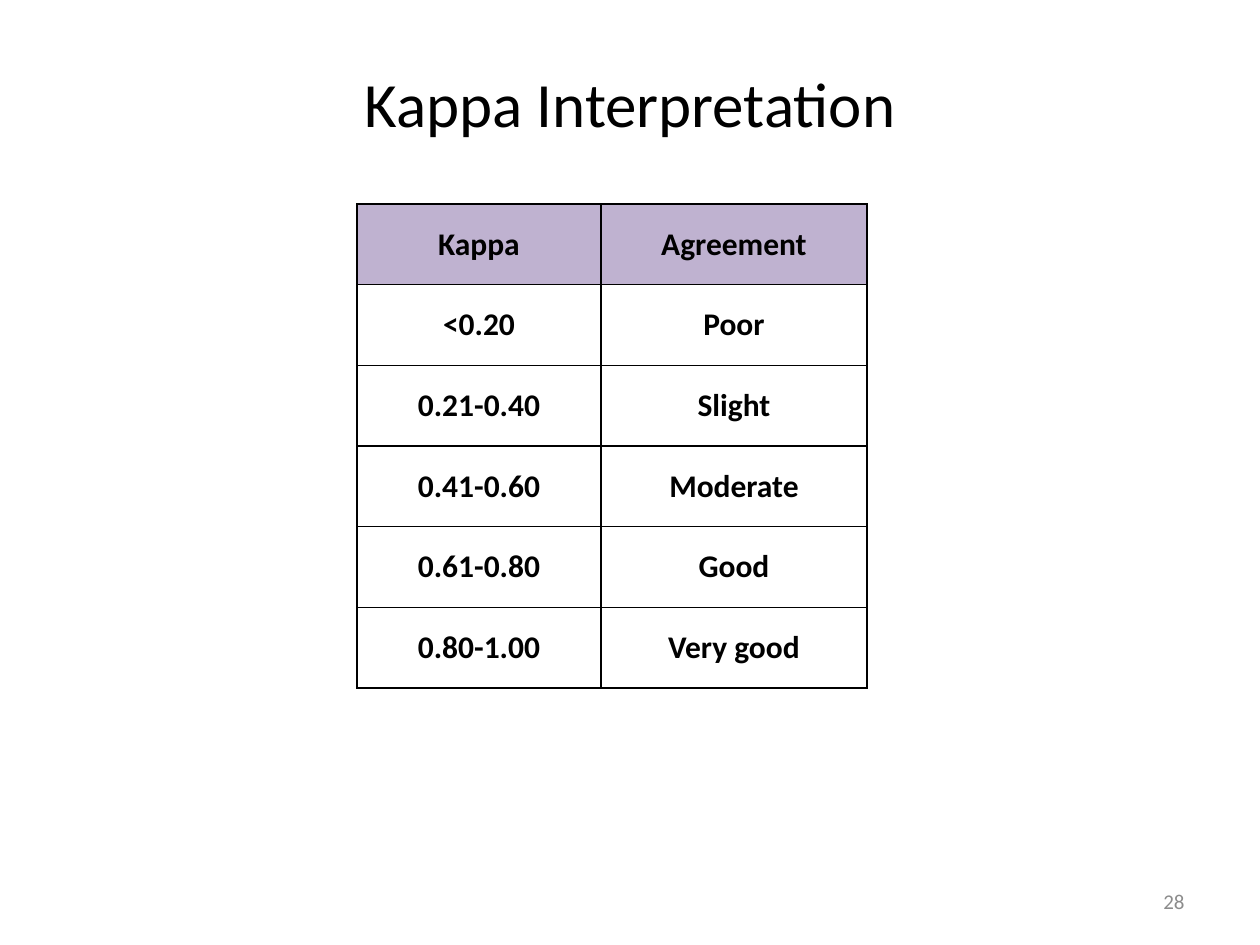
from lxml.etree import SubElement
from pptx import Presentation
from pptx.dml.color import RGBColor
from pptx.enum.text import MSO_ANCHOR as Anchor, PP_ALIGN as Align
from pptx.oxml.ns import qn
from pptx.util import Emu, Pt

EMU_PER_PX = 914400 / 126
FONT = "Calibri"
BLACK = RGBColor(0x00, 0x00, 0x00)
GRAY = RGBColor(0x8C, 0x8C, 0x8C)
LAVENDER = RGBColor(0xBF, 0xB2, 0xD0)

AGREEMENT_LEVELS = [
    ("Kappa", "Agreement"),
    ("<0.20", "Poor"),
    ("0.21-0.40", "Slight"),
    ("0.41-0.60", "Moderate"),
    ("0.61-0.80", "Good"),
    ("0.80-1.00", "Very good"),
]


def px(length):
    return Emu(round(length * EMU_PER_PX))


def write(frame, text, size, color=BLACK, align=Align.CENTER, bold=False):
    frame.word_wrap = True
    paragraph = frame.paragraphs[0]
    paragraph.text = text
    paragraph.alignment = align
    font = paragraph.font
    font.name, font.size, font.bold = FONT, Pt(size), bold
    font.color.rgb = color


def add_title(slide, left, top, width, height):
    title = slide.shapes.title
    title.left, title.top = px(left), px(top)
    title.width, title.height = px(width), px(height)
    title.text_frame.vertical_anchor = Anchor.MIDDLE
    write(title.text_frame, "Kappa Interpretation", 36)


def add_borders(cell):
    """Draw the four cell borders; they must precede the fill in tcPr."""
    properties = cell._tc.get_or_add_tcPr()
    for index, side in enumerate(("a:lnL", "a:lnR", "a:lnT", "a:lnB")):
        line = SubElement(properties, qn(side), w=str(Pt(1)))
        fill = SubElement(line, qn("a:solidFill"))
        SubElement(fill, qn("a:srgbClr"), val=str(BLACK))
        properties.insert(index, line)


def add_kappa_table(slide, left, top, column_widths, height):
    row_count = len(AGREEMENT_LEVELS)
    table = slide.shapes.add_table(
        row_count, len(column_widths),
        px(left), px(top), px(sum(column_widths)), px(height)).table
    for column, width in zip(table.columns, column_widths):
        column.width = px(width)
    for row_index, level in enumerate(AGREEMENT_LEVELS):
        table.rows[row_index].height = px(height / row_count)
        for cell, text in zip(table.rows[row_index].cells, level):
            if row_index == 0:
                cell.fill.solid()
                cell.fill.fore_color.rgb = LAVENDER
            else:
                cell.fill.background()
            add_borders(cell)
            cell.vertical_anchor = Anchor.MIDDLE
            write(cell.text_frame, text, 18, bold=True)


def add_page_number(slide, left, top, width, height):
    number = slide.shapes.add_textbox(px(left), px(top), px(width), px(height))
    number.text_frame.vertical_anchor = Anchor.MIDDLE
    write(number.text_frame, "28", 12, GRAY, Align.RIGHT)


def main():
    deck = Presentation()
    deck.slide_width, deck.slide_height = px(1260), px(945)
    slide = deck.slides.add_slide(deck.slide_layouts[5])
    add_title(slide, 63, 38, 1134, 129)
    add_kappa_table(slide, 357, 204, (244, 266), 484)
    add_page_number(slide, 903, 876, 294, 50)
    deck.save("out.pptx")


if __name__ == "__main__":
    main()
